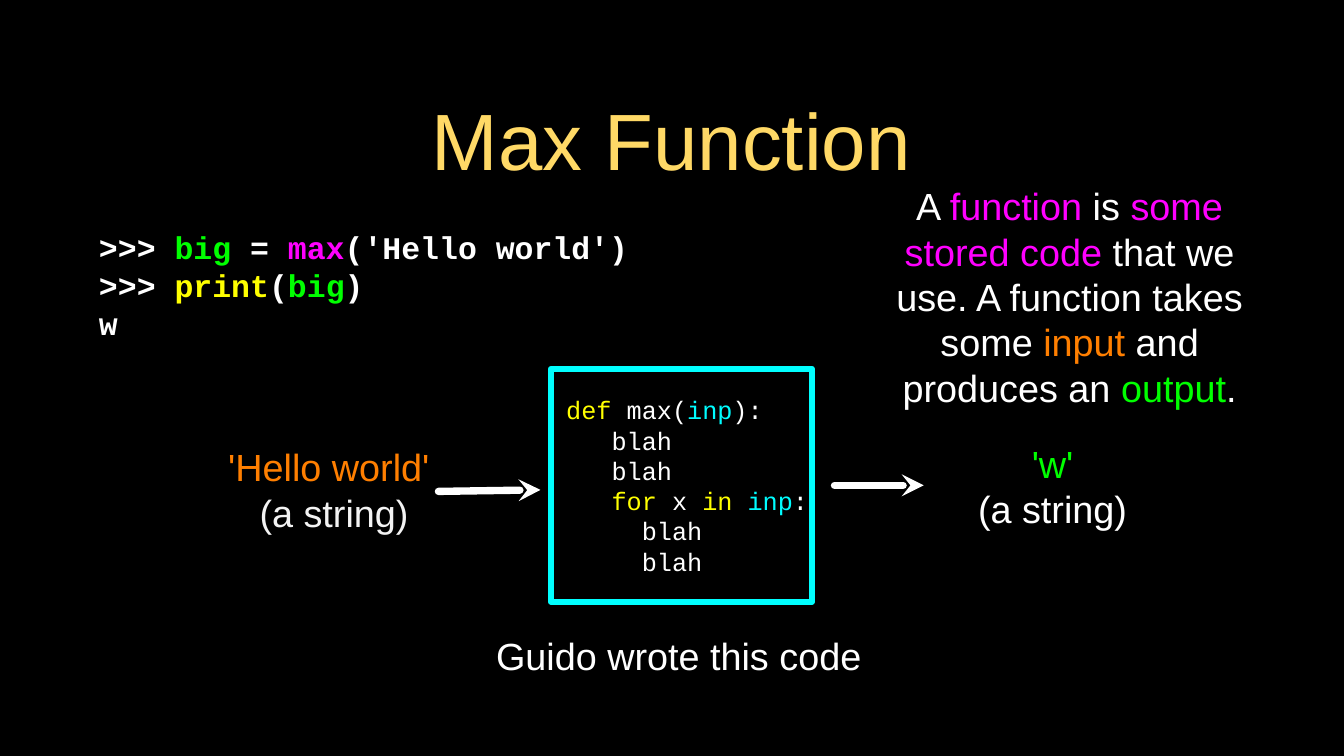
import pptx
import pptx.dml.color
import pptx.enum.shapes
import pptx.enum.text
import pptx.oxml
import pptx.oxml.ns
import pptx.util
from pptx.util import Inches

WHITE, PALE, BLACK = "FFFFFF", "F3F3F3", "000000"
GREEN, ORANGE, YELLOW = "00FF00", "FF7F00", "FFFF00"
MAGENTA, CYAN, AQUA, GOLD = "FF00FF", "00FFFF", "00FDFF", "FFD966"
CODE_FONT = "Courier New"
LINE_HEIGHT = 1.2  # line pitch as a multiple of the text size
CODE_COLUMN = 0.2  # width of one 24 pt code character, in inches


def color(value):
    return pptx.dml.color.RGBColor.from_string(value)


def place(shape, left, top, width, height):
    shape.left, shape.top = Inches(left), Inches(top)
    shape.width, shape.height = Inches(width), Inches(height)


def add_line_parts(line, *tags, **attributes):
    """Append join or arrowhead elements to a line's properties."""
    properties = line._get_or_add_ln()
    for tag in tags:
        part = pptx.oxml.parse_xml(f"<a:{tag} {pptx.oxml.ns.nsdecls('a')}/>")
        for name, value in attributes.items():
            part.set(name, value)
        properties.append(part)


def write(frame, paragraphs, size, font="Arial", bold=False, centered=True, margin=0):
    """Fill a frame; each paragraph is a list of (text, colour) spans."""
    frame.word_wrap = True
    frame.auto_size = pptx.enum.text.MSO_AUTO_SIZE.NONE
    frame.vertical_anchor = pptx.enum.text.MSO_ANCHOR.MIDDLE
    frame.margin_left = frame.margin_right = Inches(margin)
    frame.margin_top = frame.margin_bottom = Inches(margin)
    align = pptx.enum.text.PP_ALIGN
    for index, spans in enumerate(paragraphs):
        para = frame.add_paragraph() if index else frame.paragraphs[0]
        para.alignment = align.CENTER if centered else align.LEFT
        para.line_spacing = pptx.util.Pt(size * LINE_HEIGHT)
        para.font.name, para.font.bold = font, bold
        para.font.size = pptx.util.Pt(size)
        for text, tint in spans:
            span = para.add_run()
            span.text = text
            span.font.color.rgb = color(tint)


def add_text(page, bounds, paragraphs, size=36, **style):
    box = page.shapes.add_textbox(*map(Inches, bounds))
    write(box.text_frame, paragraphs, size, **style)


def add_code_box(page, bounds, lines):
    """Draw the function box; each line is (indent in columns, spans)."""
    box = page.shapes.add_shape(
        pptx.enum.shapes.MSO_SHAPE.RECTANGLE, *map(Inches, bounds))
    box.shadow.inherit = False
    box.fill.background()
    box.line.color.rgb = color(CYAN)
    box.line.width = pptx.util.Pt(6)
    add_line_parts(box.line, "round")
    write(box.text_frame, [spans for _, spans in lines], 24,
          font=CODE_FONT, centered=False)
    for para, (columns, _) in zip(box.text_frame.paragraphs, lines):
        indent = Inches(columns * CODE_COLUMN)
        para._p.get_or_add_pPr().set("marL", str(indent))


def add_arrow(page, start, end):
    arrow = page.shapes.add_connector(
        pptx.enum.shapes.MSO_CONNECTOR.STRAIGHT, *map(Inches, start + end))
    arrow.line.color.rgb = color(WHITE)
    arrow.line.width = pptx.util.Pt(7)
    arrow.line._get_or_add_ln().set("cap", "rnd")
    add_line_parts(arrow.line, "round")
    add_line_parts(arrow.line, "tailEnd", type="stealth")
    arrow._element.spPr.append(pptx.oxml.parse_xml(
        f"<a:effectLst {pptx.oxml.ns.nsdecls('a')}/>"))


def main():
    deck = pptx.Presentation()
    deck.slide_width, deck.slide_height = Inches(17.78), Inches(10)
    page = deck.slides.add_slide(deck.slide_layouts[5])
    page.background.fill.solid()
    page.background.fill.fore_color.rgb = color(BLACK)

    # Title
    title = page.shapes.title
    place(title, 1.26, 0.88, 15.24, 1.9)
    write(title.text_frame, [[("Max Function", GOLD)]], 76, margin=0.04)

    # Interactive session
    add_text(page, (1.31, 2.86, 7.8, 1.82), [
        [(">>> ", WHITE), ("big", GREEN), (" = ", WHITE), ("max", MAGENTA),
         ("('Hello world')", WHITE)],
        [(">>> ", WHITE), ("print", YELLOW), ("(", WHITE), ("big", GREEN),
         (")", WHITE)],
        [("w", WHITE)],
    ], size=30, font=CODE_FONT, bold=True, centered=False)

    # Function body
    blah = [("blah", WHITE)]
    add_code_box(page, (7.29, 4.88, 3.45, 3.08), [
        (1, [("def", YELLOW), (" max(", WHITE), ("inp", AQUA), ("):", WHITE)]),
        (4, blah),
        (4, blah),
        (4, [("for", YELLOW), (" x ", WHITE), ("in ", YELLOW), ("inp", AQUA),
             (":", WHITE)]),
        (6, blah),
        (6, blah),
    ])

    # Input and output, with arrows through the function
    add_arrow(page, (5.8, 6.5), (7.15, 6.48))
    add_text(page, (2.86, 5.85, 3.12, 1.25),
             [[("'Hello world' ", ORANGE)], [("(a string)", PALE)]])
    add_text(page, (12.73, 5.8, 2.39, 1.25),
             [[("'w'", GREEN)], [("(a string)", WHITE)]])
    add_arrow(page, (11.04, 6.42), (12.22, 6.42))

    # Definition and caption
    add_text(page, (11.45, 2.48, 5.4, 2.88), [[
        ("A ", WHITE), ("function", MAGENTA), (" is ", WHITE),
        ("some stored code", MAGENTA),
        (" that we use. A function takes some ", WHITE), ("input", ORANGE),
        (" and produces an ", WHITE), ("output", GREEN), (".", WHITE)]])
    add_text(page, (6.51, 8.33, 4.94, 0.68), [[("Guido wrote this code", WHITE)]])

    deck.save("out.pptx")


if __name__ == "__main__":
    main()
